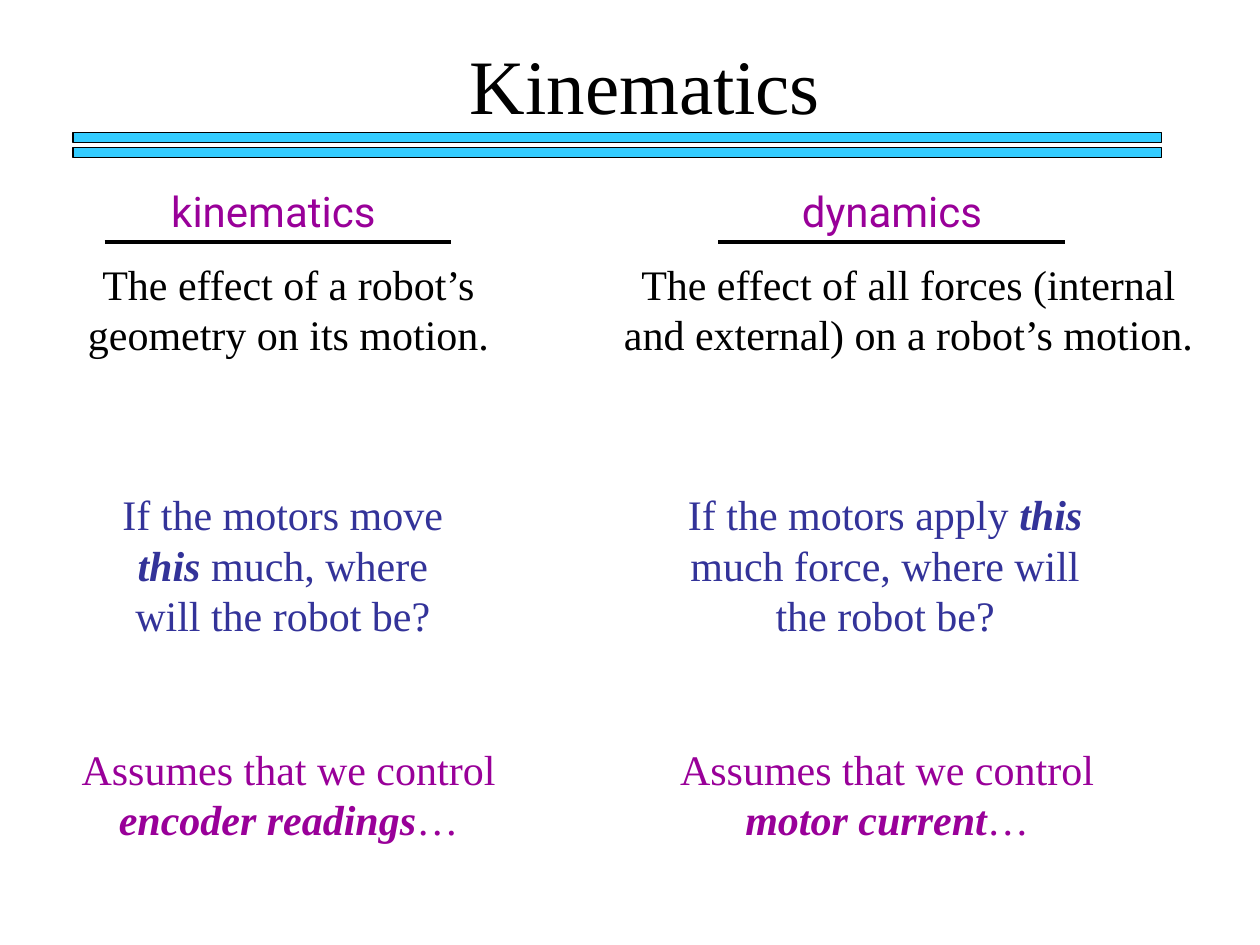
from pptx import Presentation, util as u
from pptx.dml.color import RGBColor
from pptx.enum import shapes, text
from pptx.oxml import parse_xml
from pptx.oxml.ns import nsdecls

THEME = {
    "black": "000000", "purple": "990099", "blue": "333399", "bar": "33CCFF",
    "serif": "Times New Roman", "sans": "Roboto",
    "title_size": 44, "body_size": 24, "bar_line": 0.75, "rule_line": 2.25,
}

TITLE = "Kinematics"
# Text parts alternate between plain and emphasised; boxes are (left, width).
COLUMNS = [
    {
        "heading": (["kinematics"], (0.92, 2.5)),
        "definition": (["The effect of a robot’s geometry on its motion."], (0.33, 3.92)),
        "question": (["If the motors move ", "this", " much, where will the robot be?"],
                     (0.83, 2.83)),
        "assumption": (["Assumes that we control ", "encoder readings", "…"], (0.33, 3.92)),
        "rule_left": 0.83,
    },
    {
        "heading": (["dynamics"], (5.83, 2.5)),
        "definition": (["The effect of all forces (internal and external) on a robot’s motion."],
                       (4.75, 4.92)),
        "question": (["If the motors apply ", "this", " much force, where will the robot be?"],
                     (5.33, 3.39)),
        "assumption": (["Assumes that we control ", "motor current", "…"], (5.08, 3.92)),
        "rule_left": 5.7,
    },
]
# Row name: top, height, text format
ROWS = {
    "heading": (1.42, 0.5, {"font": "sans", "color": "purple"}),
    "definition": (2, 0.9, {}),
    "question": (3.83, 1.3, {"color": "blue"}),
    "assumption": (5.85, 0.9, {"color": "purple"}),
}
BAR_TOPS = (1.05, 1.17)
RULE_TOP, RULE_WIDTH = 1.92, 2.75


def rgb(name):
    return RGBColor.from_string(THEME[name])


def add_text(slide, parts, box, font="serif", size="body_size", color="black"):
    """Add a centred text box; every second part is bold italic."""
    shape = slide.shapes.add_textbox(*map(u.Inches, box))
    frame = shape.text_frame
    frame.word_wrap = True
    frame.auto_size = text.MSO_AUTO_SIZE.SHAPE_TO_FIT_TEXT
    paragraph = frame.paragraphs[0]
    paragraph.alignment = text.PP_ALIGN.CENTER
    for index, part in enumerate(parts):
        run = paragraph.add_run()
        run.text = part
        run.font.name = THEME[font]
        run.font.size = u.Pt(THEME[size])
        run.font.color.rgb = rgb(color)
        run.font.bold = run.font.italic = index % 2 == 1


def add_bar(slide, top):
    bar = slide.shapes.add_shape(shapes.MSO_SHAPE.RECTANGLE, u.Inches(0.58), u.Inches(top),
                                 u.Inches(8.64), u.Inches(0.08))
    bar.shadow.inherit = False
    bar.fill.solid()
    bar.fill.fore_color.rgb = rgb("bar")
    bar.line.color.rgb = rgb("black")
    bar.line.width = u.Pt(THEME["bar_line"])


def add_rule(slide, left):
    rule = slide.shapes.add_connector(shapes.MSO_CONNECTOR.STRAIGHT,
                                      u.Inches(left), u.Inches(RULE_TOP),
                                      u.Inches(left + RULE_WIDTH), u.Inches(RULE_TOP))
    rule.line.color.rgb = rgb("black")
    rule.line.width = u.Pt(THEME["rule_line"])
    rule._element.spPr.append(parse_xml(f"<a:effectLst {nsdecls('a')}/>"))


def main():
    presentation = Presentation()
    presentation.slide_width, presentation.slide_height = u.Inches(10), u.Inches(7.5)
    slide = presentation.slides.add_slide(presentation.slide_layouts[6])
    for top in BAR_TOPS:
        add_bar(slide, top)
    add_text(slide, [TITLE], (1.58, 0.25, 7.08, 0.84), size="title_size")
    for column in COLUMNS:
        add_rule(slide, column["rule_left"])
        for row, (top, height, style) in ROWS.items():
            parts, (left, width) = column[row]
            add_text(slide, parts, (left, top, width, height), **style)
    presentation.save("out.pptx")


if __name__ == "__main__":
    main()
